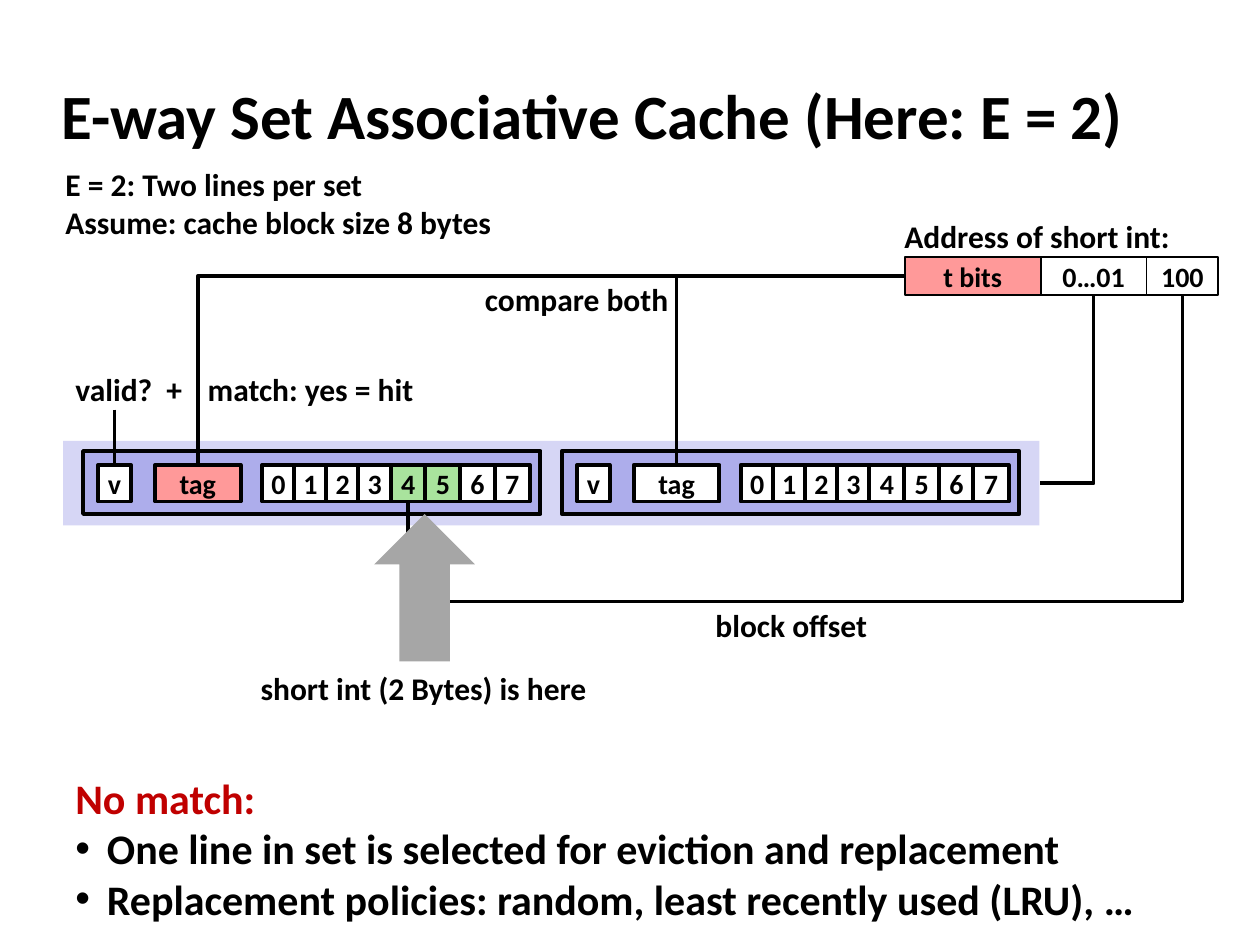
from dataclasses import dataclass

from lxml.etree import SubElement
from pptx import Presentation
from pptx.dml.color import RGBColor
from pptx.enum.shapes import MSO_CONNECTOR as CONN, MSO_SHAPE as SHAPE
from pptx.enum.text import MSO_ANCHOR as ANCHOR, MSO_AUTO_SIZE as FIT, PP_ALIGN as ALIGN
from pptx.oxml.ns import qn
from pptx.util import Inches, Pt


@dataclass(frozen=True)
class Theme:
    font: str = "Calibri"
    black: str = "000000"
    white: str = "FFFFFF"
    red: str = "C00000"
    tag: str = "FF9999"
    hit: str = "A9E39D"
    cache_set: str = "D6D6F5"
    way: str = "ADADEB"
    arrow: str = "A6A6A6"
    title: int = 36
    body: int = 24
    label: int = 18
    cell: int = 16
    cell_line: float = 2.25
    wire: float = 2


@dataclass(frozen=True)
class Label:
    text: str
    x: float
    y: float
    w: float
    h: float = 0.4


@dataclass(frozen=True)
class Way:
    x: float
    tag_fill: str
    hit_bytes: tuple = ()


T = Theme()
WAY_Y, CELL_Y, CELL_H = 3.58, 3.69, 0.29
WAYS = [Way(0.66, T.tag, (4, 5)), Way(4.46, T.white)]
ADDRESS = [("t bits", 1.08, T.tag), ("0…01", 0.84, T.white), ("100", 0.57, T.white)]
LABELS = [
    Label("E = 2: Two lines per set\nAssume: cache block size 8 bytes", 0.42, 1.26, 3.61, 0.71),
    Label("Address of short int:", 7.08, 1.67, 2.33),
    Label("compare both", 3.75, 2.17, 1.67),
    Label("valid?  +", 0.5, 2.89, 1.12),
    Label("match: yes = hit", 1.55, 2.89, 1.85),
    Label("block offset", 5.58, 4.76, 1.42),
    Label("short int (2 Bytes) is here", 1.97, 5.26, 2.81),
]


def rgb(value: str) -> RGBColor:
    return RGBColor.from_string(value)


def write(tf, text: str, *, size: float, color: str = T.black, align=None,
          anchor=ANCHOR.TOP, wrap: bool = False) -> None:
    tf.word_wrap = wrap
    tf.vertical_anchor = anchor
    for i, line in enumerate(text.split("\n")):
        p = tf.paragraphs[0] if i == 0 else tf.add_paragraph()
        p.alignment = align
        r = p.add_run()
        r.text = line
        r.font.name, r.font.size, r.font.bold = T.font, Pt(size), True
        r.font.color.rgb = rgb(color)


def add_text(s, label: Label, size: float):
    box = s.shapes.add_textbox(*map(Inches, (label.x, label.y, label.w, label.h)))
    write(box.text_frame, label.text, size=size)
    box.text_frame.auto_size = FIT.SHAPE_TO_FIT_TEXT
    return box.text_frame


def add_block(s, x: float, y: float, w: float, h: float, fill: str, *, text: str = "",
              line: float = 0, kind=SHAPE.RECTANGLE, wrap: bool = False):
    sp = s.shapes.add_shape(kind, *map(Inches, (x, y, w, h)))
    sp.shadow.inherit = False
    sp.fill.solid()
    sp.fill.fore_color.rgb = rgb(fill)
    if line:
        sp.line.color.rgb = rgb(T.black)
        sp.line.width = Pt(line)
    else:
        sp.line.fill.background()
    if text:
        write(sp.text_frame, text, size=T.cell, align=ALIGN.CENTER,
              anchor=ANCHOR.MIDDLE, wrap=wrap)
    return sp


def add_way(s, way: Way) -> tuple:
    """Draw one cache line and return its valid bit, tag and byte cells."""
    def cell(dx: float, w: float, fill: str, text: str):
        return add_block(s, way.x + dx, CELL_Y, w, CELL_H, fill, text=text, line=T.cell_line)

    add_block(s, way.x, WAY_Y, 3.63, 0.5, T.way, line=T.cell_line)
    valid = cell(0.12, 0.26, T.white, "v")
    tag = cell(0.57, 0.68, way.tag_fill, "tag")
    data = []
    for i in range(8):
        dx, w = (1.42 + 1.02 * i / 4, 0.26) if i < 4 else (2.44 + 1.1 * (i - 4) / 4, 0.28)
        data.append(cell(dx, w, T.hit if i in way.hit_bytes else T.white, str(i)))
    return valid, tag, data


def add_wire(s, start: tuple, end: tuple, kind=CONN.STRAIGHT):
    c = s.shapes.add_connector(kind, *map(int, start + end))
    c.line.color.rgb = rgb(T.black)
    c.line.width = Pt(T.wire)
    SubElement(c._element.spPr, qn("a:effectLst"))
    return c


def add_elbow(s, start: tuple, end: tuple, *, down_first: bool = False, bend: int = 0) -> None:
    """Run a bent wire; down_first leaves downwards and ends to the left.

    A bend, in thousandths of a percent of the drop, makes it turn twice.
    """
    if down_first:
        cx, cy = (start[0] + end[0]) / 2, (start[1] + end[1]) / 2
        half_w, half_h = abs(end[1] - start[1]) / 2, abs(end[0] - start[0]) / 2
        start, end = (cx - half_w, cy - half_h), (cx + half_w, cy + half_h)
    c = add_wire(s, start, end, CONN.ELBOW)
    spPr = c._element.spPr
    if down_first:
        spPr.find(qn("a:xfrm")).set("rot", str(90 * 60000))
    geom = spPr.find(qn("a:prstGeom"))
    if bend:
        SubElement(geom.find(qn("a:avLst")), qn("a:gd"), name="adj1", fmla=f"val {bend}")
    else:
        geom.set("prst", "bentConnector2")


def top(sp) -> tuple:
    return sp.left + sp.width / 2, sp.top


def bottom(sp) -> tuple:
    return sp.left + sp.width / 2, sp.top + sp.height


def add_bullet(p) -> None:
    pPr = p._p.get_or_add_pPr()
    pPr.set("marL", str(Inches(0.25)))
    pPr.set("indent", str(Inches(-0.25)))
    SubElement(pPr, qn("a:buFont"), typeface="Arial")
    SubElement(pPr, qn("a:buChar"), char="•")


def main() -> None:
    prs = Presentation()
    prs.slide_width, prs.slide_height = Inches(10), Inches(7.5)
    s = prs.slides.add_slide(prs.slide_layouts[6])

    title = s.shapes.add_textbox(*map(Inches, (0.39, 0.49, 9.02, 0.83)))
    write(title.text_frame, "E-way Set Associative Cache (Here: E = 2)",
          size=T.title, anchor=ANCHOR.MIDDLE, wrap=True)

    fields, x = [], 7.18
    for text, w, fill in ADDRESS:
        fields.append(add_block(s, x, 2.04, w, 0.3, fill, text=text, line=1, wrap=True))
        x += w
    tag_bits, set_index, block_offset = fields

    cache_set = add_block(s, 0.5, 3.5, 7.75, 0.67, T.cache_set)
    ways = [add_way(s, way) for way in WAYS]
    valid, _, data = ways[0]

    add_elbow(s, bottom(set_index), (cache_set.left + cache_set.width,
              cache_set.top + cache_set.height / 2), down_first=True)
    for _, tag, _ in ways:
        add_elbow(s, (tag_bits.left, tag_bits.top + tag_bits.height / 2), top(tag))
    valid_x, valid_y = top(valid)
    add_wire(s, (valid_x, Inches(3.25)), (valid_x, valid_y)).end_connect(valid, 0)
    add_elbow(s, bottom(block_offset), bottom(data[4]), down_first=True, bend=148400)
    add_block(s, 2.97, 4.08, 0.8, 1.17, T.arrow, kind=SHAPE.UP_ARROW)

    for label in LABELS:
        add_text(s, label, T.label)

    tf = add_text(s, Label("No match:\n"
                           "One line in set is selected for eviction and replacement\n"
                           "Replacement policies: random, least recently used (LRU), …",
                           0.5, 6.08, 8.73, 1.31), T.body)
    heading, *points = tf.paragraphs
    heading.runs[0].font.color.rgb = rgb(T.red)
    for p in points:
        add_bullet(p)

    prs.save("out.pptx")


if __name__ == "__main__":
    main()
